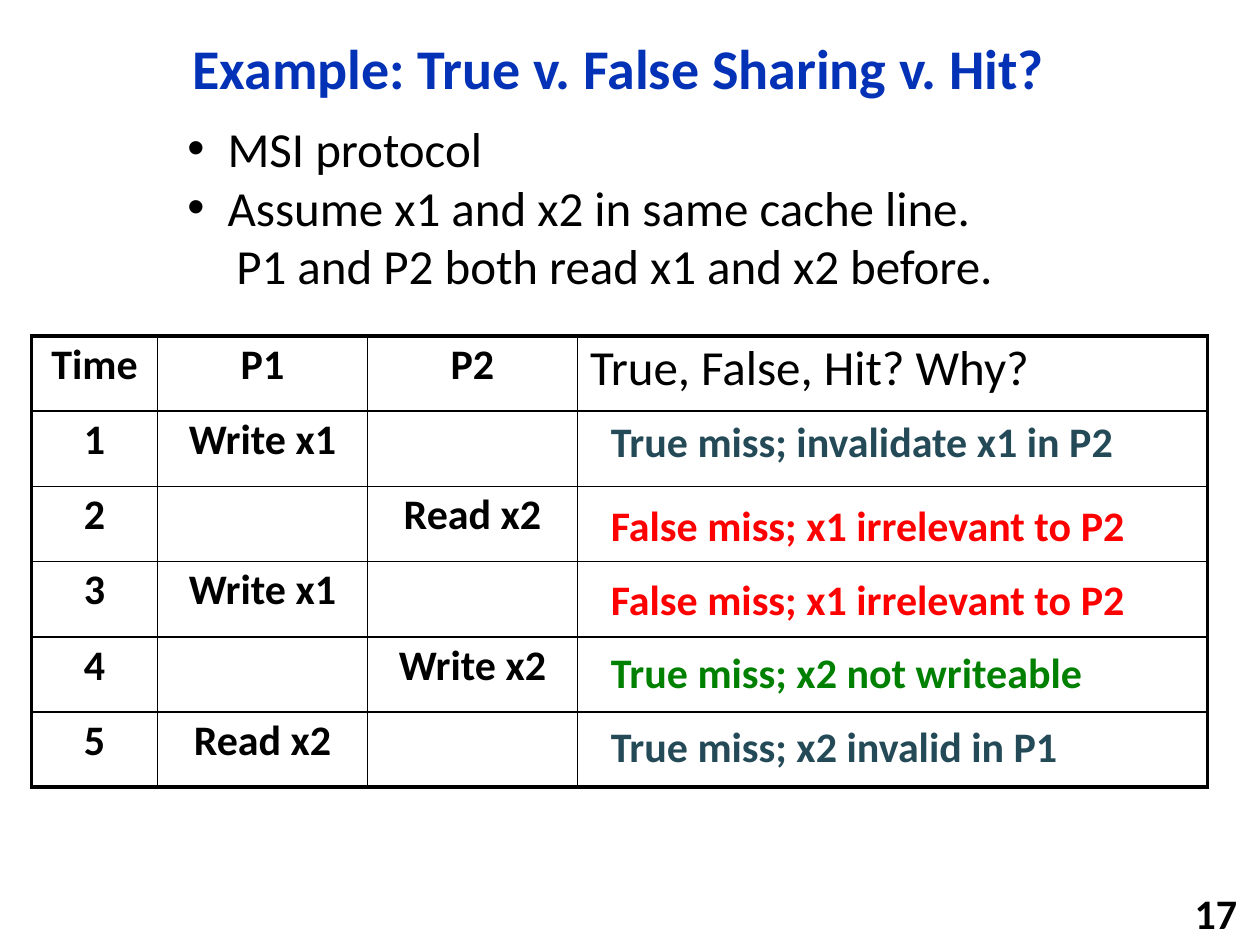
import pptx
import pptx.util
import pptx.dml.color
import pptx.enum.text
import pptx.oxml
import pptx.oxml.ns

Pt = pptx.util.Pt
RGBColor = pptx.dml.color.RGBColor
Align = pptx.enum.text.PP_ALIGN
Anchor = pptx.enum.text.MSO_ANCHOR
Fit = pptx.enum.text.MSO_AUTO_SIZE

BLACK = RGBColor(0x00, 0x00, 0x00)
BLUE = RGBColor(0x03, 0x32, 0xB7)
TEAL = RGBColor(0x24, 0x4A, 0x58)
RED = RGBColor(0xFF, 0x00, 0x00)
GREEN = RGBColor(0x00, 0x80, 0x00)
NS = pptx.oxml.ns.nsdecls("a")


class Deck:
    font = "Calibri"
    thick = 2.25
    thin = 1

    def __init__(self, wide, high):
        self.file = pptx.Presentation()
        self.file.slide_width = Pt(wide)
        self.file.slide_height = Pt(high)
        self.slide = self.file.slides.add_slide(self.file.slide_layouts[5])

    def add_text(self, para, text, size=24, color=BLACK, bold=True, align=Align.LEFT):
        para.alignment = align
        run = para.add_run()
        run.text = text
        run.font.name = self.font
        run.font.size = Pt(size)
        run.font.bold = bold
        run.font.color.rgb = color

    def title(self, text, left, top, wide, high):
        shape = self.slide.shapes.title
        shape.left, shape.top = Pt(left), Pt(top)
        shape.width, shape.height = Pt(wide), Pt(high)
        frame = shape.text_frame
        frame.auto_size = Fit.NONE
        frame.vertical_anchor = Anchor.MIDDLE
        para = frame.paragraphs[0]
        para.line_spacing = 0.9
        self.add_text(para, text, 32, BLUE, align=Align.CENTER)

    def box(self, left, top, wide, high, wrap=False):
        shape = self.slide.shapes.add_textbox(Pt(left), Pt(top), Pt(wide), Pt(high))
        frame = shape.text_frame
        frame.word_wrap = wrap
        frame.margin_bottom = 0
        return frame

    def label(self, text, left, top, wide, high, color):
        self.add_text(self.box(left, top, wide, high).paragraphs[0], text, color=color)

    def number(self, text, left, top, wide, high):
        frame = self.box(left, top, wide, high, True)
        frame.margin_bottom = frame.margin_top
        frame.vertical_anchor = Anchor.MIDDLE
        self.add_text(frame.paragraphs[0], text, align=Align.RIGHT)

    def points(self, items, left, top, wide, high):
        frame = self.box(left, top, wide, high, True)
        for i, (text, mark) in enumerate(items):
            para = frame.add_paragraph() if i else frame.paragraphs[0]
            props = para._p.get_or_add_pPr()
            if mark:
                props.set("marL", str(Pt(23)))
                props.set("indent", str(-Pt(23)))
                props.append(pptx.oxml.parse_xml(f'<a:buFont {NS} typeface="Arial"/>'))
                props.append(pptx.oxml.parse_xml(f'<a:buChar {NS} char="•"/>'))
            else:
                props.set("marL", str(Pt(28)))
            self.add_text(para, text, 28, bold=False)

    def edges(self, cell, sides):
        props = cell._tc.get_or_add_tcPr()
        for i, (side, outer) in enumerate(sides):
            width = Pt(self.thick if outer else self.thin)
            line = pptx.oxml.parse_xml(
                f'<a:ln{side} {NS} w="{width}"><a:solidFill>'
                f'<a:srgbClr val="{BLACK}"/></a:solidFill></a:ln{side}>')
            props.insert(i, line)

    def table(self, rows, left, top, cols, high):
        count = len(rows)
        shape = self.slide.shapes.add_table(
            count, len(cols), Pt(left), Pt(top), Pt(sum(cols)), Pt(high * count))
        grid = shape.table
        grid.first_row = grid.horz_banding = False
        for col, wide in zip(grid.columns, cols):
            col.width = Pt(wide)
        last = len(cols) - 1
        for r, row in enumerate(rows):
            grid.rows[r].height = Pt(high)
            for c, text in enumerate(row):
                cell = grid.cell(r, c)
                cell.fill.background()
                cell.margin_bottom = 0
                self.edges(cell, [("L", c == 0), ("R", c == last),
                                  ("T", r == 0), ("B", r == count - 1)])
                if text:
                    para = cell.text_frame.paragraphs[0]
                    para.line_spacing = 0.9
                    if c == last:
                        self.add_text(para, text, 28, bold=False)
                    else:
                        self.add_text(para, text, align=Align.CENTER)


def main():
    deck = Deck(720, 540)
    deck.title("Example: True v. False Sharing v. Hit?", 66, 12, 575, 58)
    deck.number("17", 564, 510, 150, 23)
    deck.table([
        ("Time", "P1", "P2", "True, False, Hit? Why?"),
        ("1", "Write x1", "", ""),
        ("2", "", "Read x2", ""),
        ("3", "Write x1", "", ""),
        ("4", "", "Write x2", ""),
        ("5", "Read x2", "", ""),
    ], 18, 192, (72, 120, 120, 360), 43)
    deck.points([
        ("MSI protocol", True),
        ("Assume x1 and x2 in same cache line.", True),
        ("P1 and P2 both read x1 and x2 before.", False),
    ], 100, 64, 540, 105)
    for text, top, wide, color in [
        ("True miss; invalidate x1 in P2", 234, 307, TEAL),
        ("False miss; x1 irrelevant to P2", 282, 313, RED),
        ("False miss; x1 irrelevant to P2", 324, 313, RED),
        ("True miss; x2 not writeable", 366, 288, GREEN),
        ("True miss; x2 invalid in P1", 408, 272, TEAL),
    ]:
        deck.label(text, 342, top, wide, 33, color)
    deck.file.save("out.pptx")


if __name__ == "__main__":
    main()
